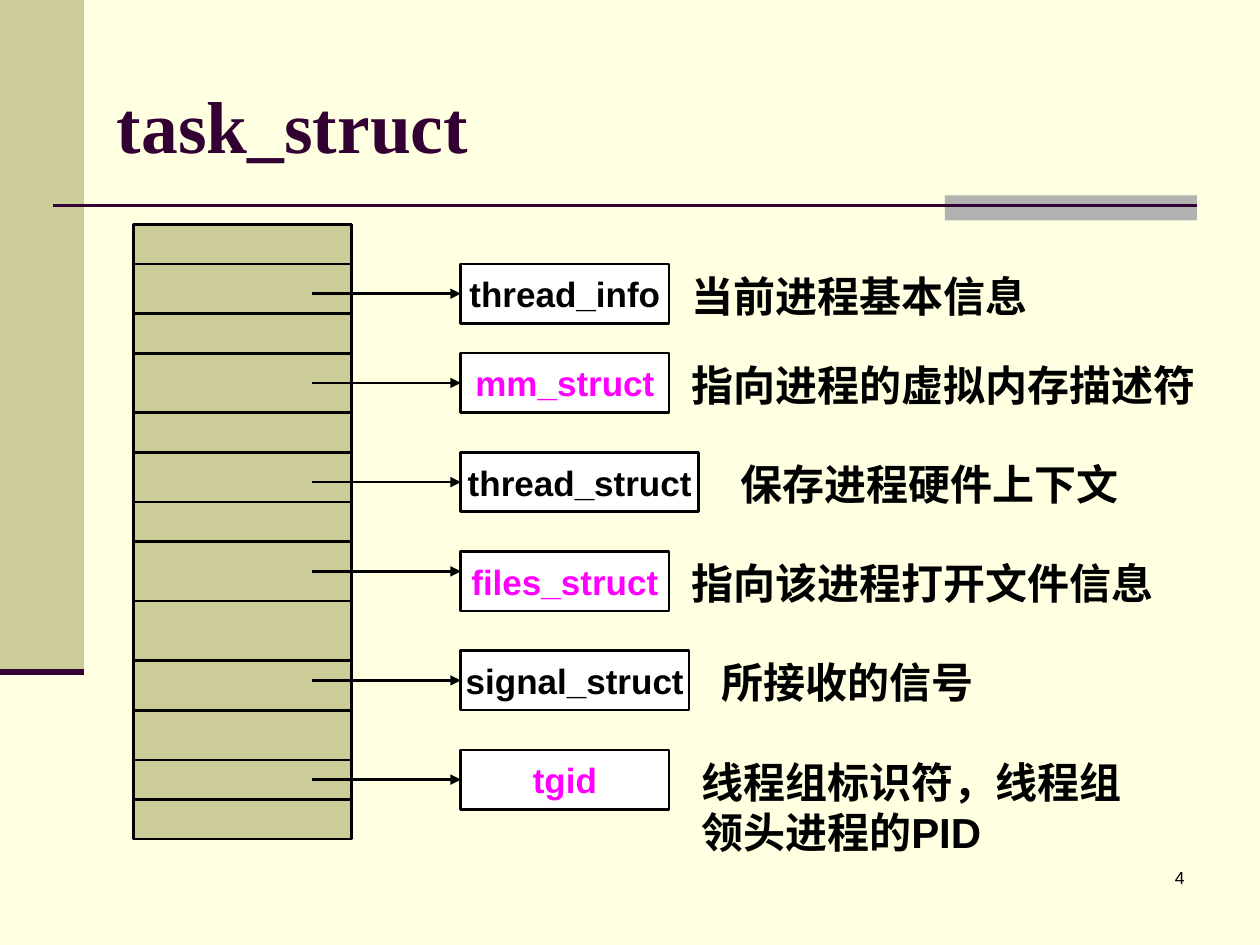
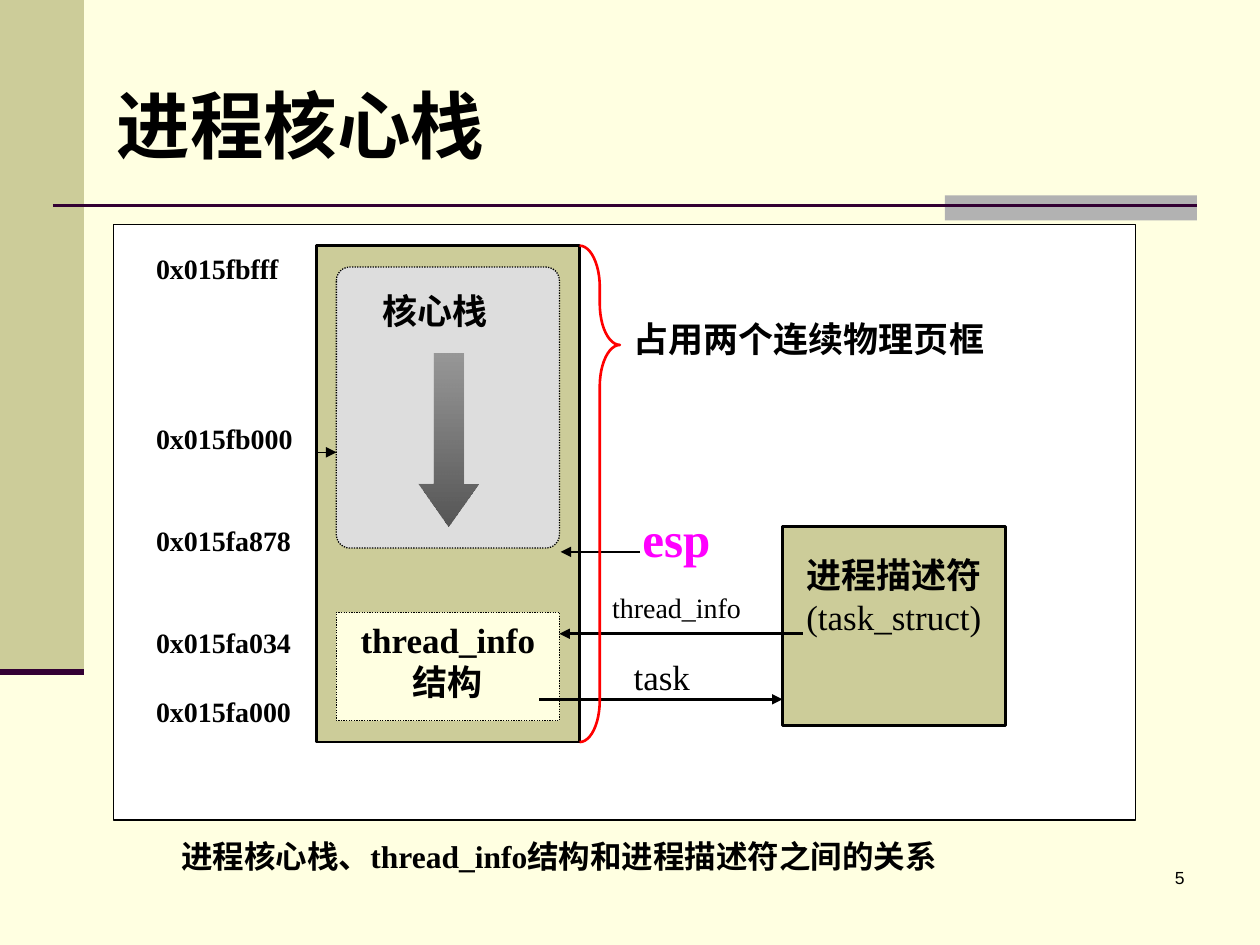
from itertools import accumulate
from lxml.etree import SubElement as Sub
from pptx import Presentation
from pptx.dml.color import RGBColor as Rgb
from pptx.enum.dml import MSO_LINE as Dash
from pptx.enum.shapes import MSO_CONNECTOR as Conn, MSO_SHAPE as Kind
from pptx.enum.text import MSO_ANCHOR as Anchor, PP_ALIGN as Align
from pptx.oxml.ns import qn
from pptx.util import Inches, Pt

# Shared look
HUE = {"page": "FFFFE1", "band": "CCCC99", "bar": "B2B2B2", "plum": "330033",
       "ink": "000000", "white": "FFFFFF", "pink": "FF00FF", "red": "FF0000",
       "stack": "DDDDDD", "light": "808080", "dark": "313131"}
SANS, SERIF = "Arial", "Times New Roman"
W, H = 10, 7.5

# Slide 1: lengths in grid units; the struct column is 62 units tall
UNIT = 4.88 / 62
LEFT, TOP = 1.06, 1.78
ROWS = [4, 5, 4, 6, 4, 5, 4, 6, 6, 5, 5, 4, 4]
# name, colour, row, width, arrow row, note column, note width in inches, note
FIELDS = [
    ("thread_info", "ink", 4, 21, 7, 55, 3.23, "当前进程基本信息"),
    ("mm_struct", "pink", 13, 21, 16, 55, 4.41, "指向进程的虚拟内存描述符"),
    ("thread_struct", "ink", 23, 24, 26, 60, 3.54, "保存进程硬件上下文"),
    ("files_struct", "pink", 33, 21, 35, 55, 4.09, "指向该进程打开文件信息"),
    ("signal_struct", "ink", 43, 23, 46, 58, 3.31, "所接收的信号"),
    ("tgid", "pink", 53, 21, 56, 56, 3.86, "线程组标识符，线程组领头进程的PID"),
]

# Slide 2: address and its distance in lines from the one above
ADDRS = [("0x015fbfff", 0), ("0x015fb000", 5), ("0x015fa878", 3),
         ("0x015fa034", 3), ("0x015fa000", 2)]
PITCH, LINE = 19.2, 18.4
# text, box, size, bold, colour, fill, top inset
LABELS = [
    ("thread_info", (4.76, 4.69, 1.29, 0.51), 16, False, "ink", "white", 0),
    ("esp", (5, 3.99, 1.02, 0.6), 28, True, "pink", "white", 0.05),
    ("task", (4.93, 5.2, 0.75, 0.51), 20, False, "ink", None, 0),
    ("占用两个连续物理页框", (4.93, 2.47, 3.54, 0.6), 20, True, "ink", None, 0.05),
]
# start, end, line width
ARROWS = [((4.28, 5.55), (6.21, 5.55), 1.5), ((5.08, 4.38), (4.45, 4.38), 1.5),
          ((6.37, 5.03), (4.44, 5.03), 1.5), ((2.51, 3.59), (2.67, 3.59), 0.75)]


def rgb(name):
    return Rgb.from_string(HUE[name])


def box(slide, at, fill=None, line=None, width=1.5, kind=Kind.RECTANGLE):
    shape = slide.shapes.add_shape(kind, *map(Inches, at))
    shape.shadow.inherit = False
    if fill:
        shape.fill.solid()
        shape.fill.fore_color.rgb = rgb(fill)
    else:
        shape.fill.background()
    if line:
        shape.line.color.rgb = rgb(line)
        shape.line.width = Pt(width)
    else:
        shape.line.fill.background()
    return shape


def write(shape, text, size, font=SERIF, bold=True, hue="ink", align=Align.LEFT,
          anchor=Anchor.TOP, wrap=True, ins=(0.1, 0.05, 0.1, 0.05)):
    frame = shape.text_frame
    frame.text = text
    frame.word_wrap = wrap
    frame.vertical_anchor = anchor
    (frame.margin_left, frame.margin_top,
     frame.margin_right, frame.margin_bottom) = map(Inches, ins)
    for para in frame.paragraphs:
        para.alignment = align
        for run in para.runs:
            run.font.name, run.font.size, run.font.bold = font, Pt(size), bold
            run.font.color.rgb = rgb(hue)
    return frame


def label(slide, at, text, size, **style):
    return write(slide.shapes.add_textbox(*map(Inches, at)), text, size, **style)


def rule(slide, start, end, hue="ink", width=1.5, arrow=False):
    line = slide.shapes.add_connector(Conn.STRAIGHT, *map(Inches, start + end))
    line.line.color.rgb = rgb(hue)
    line.line.width = Pt(width)
    props = line.line._get_or_add_ln()
    if arrow:
        Sub(props, qn("a:tailEnd"), type="triangle")
    Sub(props.getparent(), qn("a:effectLst"))


def page(deck, title, number, hue):
    slide = deck.slides.add_slide(deck.slide_layouts[6])
    box(slide, (0, 0, W / 15, 5.33), "band")
    box(slide, (0.75 * W, 1.55, 0.2 * W, 0.2), "bar")
    rule(slide, (0.42, 1.63), (0.95 * W, 1.63), "plum")
    rule(slide, (0, 5.33), (W / 15, 5.33), "plum", 3.5)
    label(slide, (7.42, 6.83, 2.08, 0.5), str(number), 10, font=SANS,
          bold=False, align=Align.RIGHT)
    label(slide, (0.83, 0.36, 8.5, 1.25), title, 42, hue=hue, anchor=Anchor.MIDDLE)
    return slide


def spot(col, row):
    return LEFT + col * UNIT, TOP + row * UNIT


def fields(deck):
    slide = page(deck, "task_struct", 4, "plum")
    # Struct column and its dividers
    box(slide, (LEFT, TOP, 22 * UNIT, sum(ROWS) * UNIT), "band", "ink")
    for row in accumulate(ROWS[:-1]):
        rule(slide, spot(0, row), spot(22, row))
    # Each field: box, arrow, note
    for name, hue, row, wide, tip, col, span, note in FIELDS:
        cell = box(slide, spot(33, row) + (wide * UNIT, 6 * UNIT), "white", "ink")
        write(cell, name, 20, font=SANS, hue=hue, align=Align.CENTER,
              anchor=Anchor.MIDDLE, wrap=False)
        rule(slide, spot(18, tip), spot(33, tip), arrow=True)
        label(slide, spot(col, row) + (span, 0.5), note, 24, font=SANS)


def stack(deck):
    slide = page(deck, "进程核心栈", 5, "ink")
    box(slide, (0.9, 1.78, 8.11, 4.73), "white", "ink", 0.75)
    # Addresses
    side = box(slide, (1.14, 1.95, 1.53, 3.94), "white")
    frame = write(side, "\n".join(a for a, _ in ADDRS), 16)
    for para, (_, steps) in zip(frame.paragraphs, ADDRS):
        if steps:
            para.space_before = Pt(steps * PITCH - LINE)
    # Two page frames with the stack and thread_info
    box(slide, (2.51, 1.95, 2.09, 3.94), "band", "ink")
    info = box(slide, (2.67, 4.86, 1.77, 0.86), "page", "ink", 0.75)
    write(info, "thread_info\n结构", 20, align=Align.CENTER)
    info.line.dash_style = Dash.ROUND_DOT
    core = box(slide, (2.67, 2.12, 1.77, 2.23), "stack", "ink", 0.75,
               Kind.ROUNDED_RECTANGLE)
    core.adjustments[0] = 0.06
    core.line.dash_style = Dash.ROUND_DOT
    label(slide, (2.95, 2.3, 1.01, 0.51), "核心栈", 20, align=Align.CENTER,
          ins=(0, 0, 0, 0.01))
    # Direction of growth
    down = box(slide, (3.32, 2.81, 0.48, 1.37), kind=Kind.DOWN_ARROW)
    down.adjustments[0], down.adjustments[1] = 0.5, 0.71
    down.fill.gradient()
    down.fill.gradient_angle = 270
    for stop, hue, share in zip(down.fill.gradient_stops, ("light", "dark"), (75, 79)):
        stop.color.rgb = rgb(hue)
    for tint, share in zip(down._element.spPr.iter(qn("a:srgbClr")), (75, 79)):
        Sub(tint, qn("a:alpha"), val=str(share * 1000))
    # Process descriptor
    task = box(slide, (6.21, 4.18, 1.77, 1.58), "band", "ink")
    frame = write(task, "进程描述符\n(task_struct)", 20, align=Align.CENTER,
                  ins=(0.1, 0.21, 0.1, 0.05))
    frame.paragraphs[1].runs[0].font.bold = False
    # Labels, arrows, brace and caption
    for text, at, size, bold, hue, fill, top in LABELS:
        write(box(slide, at, fill), text, size, bold=bold, hue=hue,
              ins=(0.1, top, 0.1, 0.05))
    for start, end, width in ARROWS:
        rule(slide, start, end, width=width, arrow=True)
    brace = box(slide, (4.6, 1.95, 0.32, 3.94), None, "red", kind=Kind.RIGHT_BRACE)
    brace.adjustments[0], brace.adjustments[1] = 1.03, 0.2
    label(slide, (1.22, 6.59, 7.08, 0.47),
          "进程核心栈、thread_info结构和进程描述符之间的关系", 18,
          ins=(0.22, 0.05, 0.1, 0.05))


def main():
    deck = Presentation()
    deck.slide_width, deck.slide_height = Inches(W), Inches(H)
    ground = deck.slide_master.background.fill
    ground.solid()
    ground.fore_color.rgb = rgb("page")
    fields(deck)
    stack(deck)
    deck.save("out.pptx")


if __name__ == "__main__":
    main()
